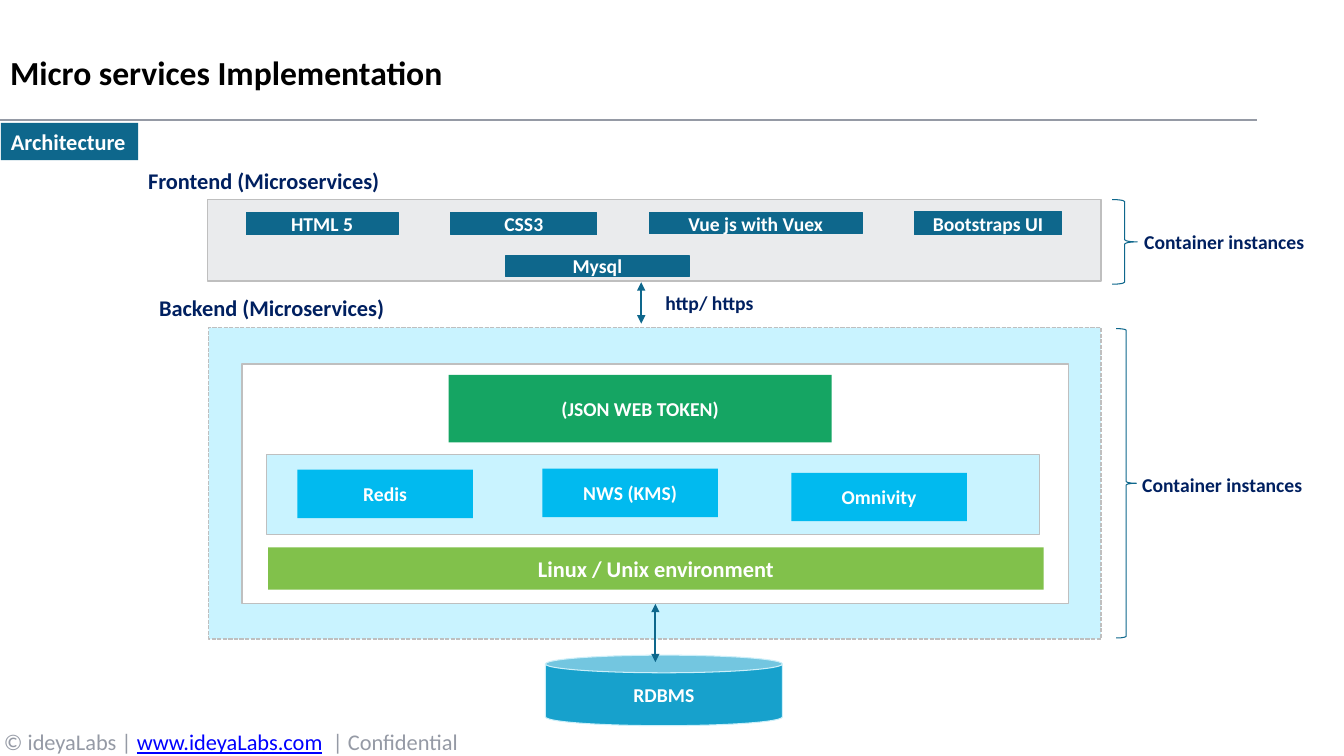
"""Build the micro services architecture slide on a grid of tenth-inch cells."""
from dataclasses import dataclass

from pptx import Presentation
from pptx.dml.color import RGBColor
from pptx.enum.dml import MSO_LINE
from pptx.enum.shapes import MSO_CONNECTOR, MSO_SHAPE
from pptx.enum.text import MSO_ANCHOR, MSO_AUTO_SIZE, PP_ALIGN
from pptx.oxml.ns import qn
from pptx.util import Inches, Pt


@dataclass(frozen=True)
class Theme:
    font: str = "Calibri"
    title: int = 24
    heading: int = 16
    label: int = 14
    black: str = "000000"
    white: str = "FFFFFF"
    navy: str = "002060"
    teal: str = "0E678C"
    link: str = "0000FF"
    footer: str = "959AA5"
    border: str = "BFBFBF"
    grey: str = "EAEBED"
    ice: str = "C9F3FF"
    sky: str = "01BAEF"
    green: str = "15A563"
    lime: str = "81C14B"
    can: str = "17A1CC"
    rim: str = "CCEFF9"


def write(box, text, size=Theme.label, color=Theme.white, bold=True, underline=False,
          align=PP_ALIGN.CENTER, anchor=MSO_ANCHOR.MIDDLE, wrap=True):
    frame = box.text_frame
    frame.word_wrap, frame.vertical_anchor = wrap, anchor
    frame.auto_size = MSO_AUTO_SIZE.NONE
    para = frame.paragraphs[0]
    para.alignment = align
    span = para.add_run()
    span.text = text
    span.font.name, span.font.size = Theme.font, Pt(size)
    span.font.bold, span.font.underline = bold, underline
    span.font.color.rgb = RGBColor.from_string(color)


def draw(kind, area, fill=None, line=None, weight=0.75):
    shape = page.shapes.add_shape(kind, *(int(cell * n) for n in area))
    shape.shadow.inherit = False
    for paint, color in ((shape.fill, fill), (shape.line.fill, line)):
        if color:
            paint.solid()
            paint.fore_color.rgb = RGBColor.from_string(color)
        else:
            paint.background()
    if line:
        shape.line.width = Pt(weight)
    return shape


cell = Inches(0.1)
deck = Presentation()
deck.slide_width, deck.slide_height = Inches(13.33), Inches(7.5)
page = deck.slides.add_slide(deck.slide_layouts[5])

title = page.shapes.title
title.left, title.top, title.width, title.height = (int(cell * n) for n in (0, 2.3, 127, 9.6))
write(title, "Micro services Implementation", size=Theme.title, color=Theme.black,
      align=PP_ALIGN.LEFT)

footer = page.shapes.add_textbox(*(int(cell * n) for n in (-1, 71.6, 47.8, 4)))
for text, color, underline in (
    ("© ideyaLabs | ", Theme.footer, False),
    ("www.ideyaLabs.com", Theme.link, True),
    ("  | Confidential", Theme.footer, False),
):
    write(footer, text, size=Theme.heading, color=color, bold=False, underline=underline)

backend = draw(MSO_SHAPE.RECTANGLE, (20.7, 32.5, 88.5, 30.9), Theme.ice, Theme.border, 1)
backend.line.dash_style = MSO_LINE.SQUARE_DOT
draw(MSO_SHAPE.RECTANGLE, (20.6, 19.8, 88.6, 8.1), Theme.grey, Theme.border, 1)
server = draw(MSO_SHAPE.RECTANGLE, (24, 36.1, 82, 23.8), Theme.white, Theme.border, 1)
draw(MSO_SHAPE.RECTANGLE, (26.4, 45.1, 76.7, 7.9), Theme.ice, Theme.border)

for text, left, top, width, height in (
    ("HTML 5", 24.4, 21.1, 15.1, 2.2),
    ("CSS3", 44.7, 21.1, 14.5, 2.2),
    ("Vue js with Vuex", 64.4, 21.1, 21.1, 2.1),
    ("Bootstraps UI", 90.7, 21, 14.6, 2.3),
    ("Mysql", 50.1, 25.4, 18.3, 2),
):
    write(draw(MSO_SHAPE.RECTANGLE, (left, top, width, height), Theme.teal, Theme.teal), text)

for text, left, top in (("Redis", 29.5, 46.6), ("NWS (KMS)", 53.8, 46.5), ("Omnivity", 78.5, 46.9)):
    write(draw(MSO_SHAPE.RECTANGLE, (left, top, 17.4, 4.8), Theme.sky), text)

write(draw(MSO_SHAPE.RECTANGLE, (44.5, 37.2, 38, 6.7), Theme.green), "(JSON WEB TOKEN)")
write(draw(MSO_SHAPE.RECTANGLE, (26.6, 54.3, 76.9, 4.2), Theme.lime),
      "Linux / Unix environment", size=Theme.heading)
write(draw(MSO_SHAPE.CAN, (54.1, 65, 23.5, 7), Theme.can, Theme.rim), "RDBMS")
write(draw(MSO_SHAPE.RECTANGLE, (0.1, 12.2, 13.6, 3.7), Theme.teal), "Architecture",
      size=Theme.heading, align=PP_ALIGN.LEFT, anchor=MSO_ANCHOR.TOP, wrap=False)

for area in ((110.3, 19.8, 2.5, 8.4), (110.7, 32.6, 2, 30.7)):
    draw(MSO_SHAPE.RIGHT_BRACE, area, line=Theme.teal)

for text, size, area in (
    ("Frontend (Microservices)", Theme.heading, (13.7, 16.1, 27.1, 3.7)),
    ("Backend (Microservices)", Theme.heading, (14.8, 28.7, 36.3, 3.5)),
    ("http/ https", Theme.label, (65, 28.4, 25.4, 3.1)),
    ("Container instances", Theme.label, (112.5, 22.3, 19, 3.1)),
    ("Container instances", Theme.label, (112.3, 46.4, 19, 3.1)),
):
    label = page.shapes.add_textbox(*(int(cell * n) for n in area))
    write(label, text, size=size, color=Theme.navy, align=PP_ALIGN.LEFT, anchor=MSO_ANCHOR.TOP)

for ends, color, weight, arrow, source in (
    ((0, 11.9, 124.7, 11.9), Theme.footer, 1, False, None),
    ((63.6, 28, 63.6, 32.1), Theme.teal, 1.5, True, None),
    ((65, 59.9, 65, 65.7), Theme.teal, 1.5, True, server),
):
    link = page.shapes.add_connector(MSO_CONNECTOR.STRAIGHT, *(int(cell * n) for n in ends))
    if source:
        link.begin_connect(source, 2)
    link.line.color.rgb = RGBColor.from_string(color)
    link.line.width = Pt(weight)
    properties = link.element.spPr
    if arrow:
        stroke = properties.find(qn("a:ln"))
        for end in ("a:headEnd", "a:tailEnd"):
            stroke.append(stroke.makeelement(qn(end), {"type": "triangle"}))
    properties.append(properties.makeelement(qn("a:effectLst"), {}))

deck.save("out.pptx")
